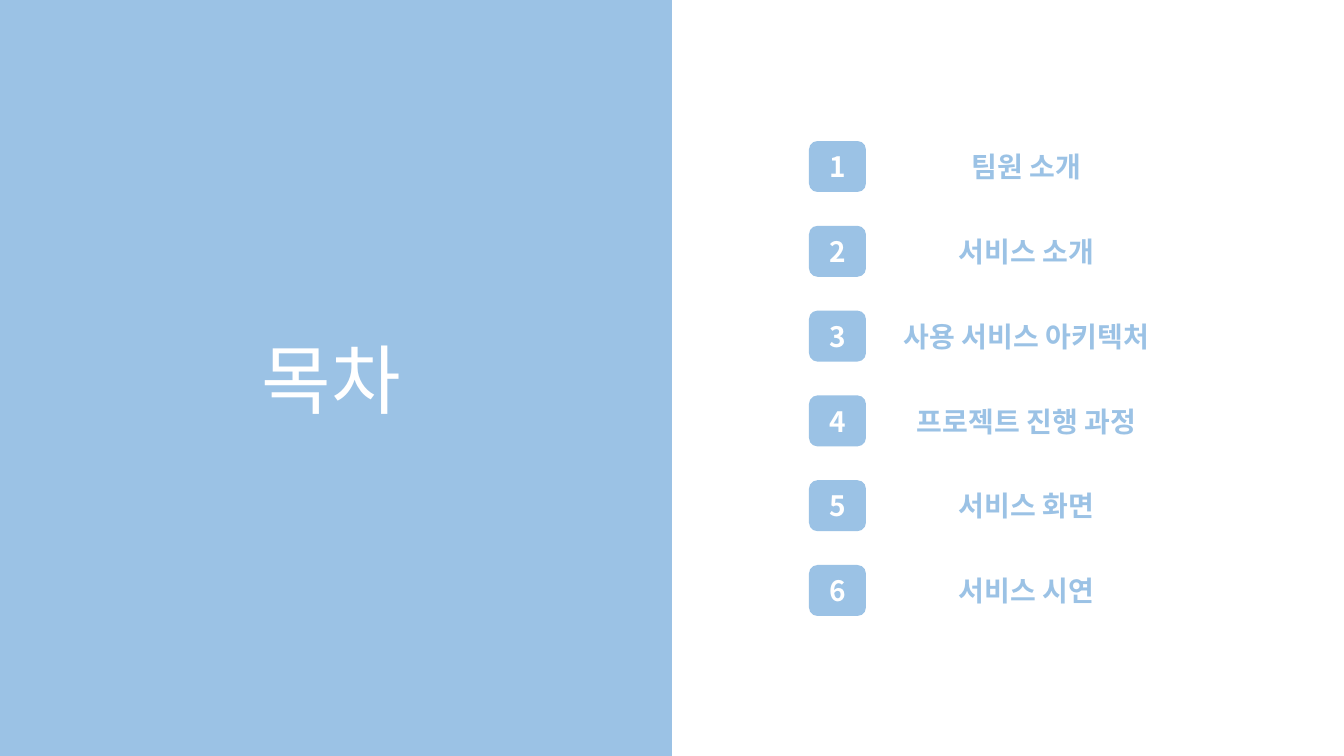
from dataclasses import dataclass

from lxml import etree
from pptx import Presentation
from pptx.dml.color import RGBColor
from pptx.enum.shapes import MSO_SHAPE
from pptx.enum.text import MSO_ANCHOR, PP_ALIGN
from pptx.oxml.ns import qn
from pptx.util import Pt

RECTANGLE = MSO_SHAPE.RECTANGLE
ROUNDED = MSO_SHAPE.ROUNDED_RECTANGLE
LEFT, CENTER = PP_ALIGN.LEFT, PP_ALIGN.CENTER
TOP, MIDDLE = MSO_ANCHOR.TOP, MSO_ANCHOR.MIDDLE

TITLE = "목차"
TOPICS = [
    "팀원 소개",
    "서비스 소개",
    "사용 서비스 아키텍처",
    "프로젝트 진행 과정",
    "서비스 화면",
    "서비스 시연",
]

EMU_PER_PX = 914400 / 100.8
SLIDE_WIDTH, SLIDE_HEIGHT = 1344, 756
TITLE_BOX = (252, 328, 358, 102)
LIST_LEFT = 809
FIRST_TOP, LAST_TOP = 141, 565
BADGE_WIDTH, BADGE_HEIGHT = 57, 51
LABEL_WIDTH, LABEL_HEIGHT = 435, 60


@dataclass(frozen=True)
class Theme:
    blue: RGBColor = RGBColor(0x9B, 0xC2, 0xE5)
    white: RGBColor = RGBColor(0xFF, 0xFF, 0xFF)
    font: str = "Noto Sans CJK KR"
    title_size: int = 54
    item_size: int = 20


THEME = Theme()


def emu(*lengths):
    return [round(length * EMU_PER_PX) for length in lengths]


def add_block(slide, kind, box, fill=None):
    shape = slide.shapes.add_shape(kind, *emu(*box))
    shape.shadow.inherit = False
    shape.line.fill.background()
    if fill is None:
        shape.fill.background()
    else:
        shape.fill.solid()
        shape.fill.fore_color.rgb = fill
    return shape


def write(shape, text, size, color, bold=False, align=CENTER, anchor=MIDDLE):
    frame = shape.text_frame
    frame.text = text
    frame.word_wrap = True
    frame.vertical_anchor = anchor
    paragraph = frame.paragraphs[0]
    paragraph.alignment = align
    font = paragraph.runs[0].font
    font.size = Pt(size)
    font.bold = bold
    font.color.rgb = color
    font.name = THEME.font
    properties = paragraph.runs[0]._r.get_or_add_rPr()
    etree.SubElement(properties, qn("a:ea"), typeface=THEME.font)


def main():
    presentation = Presentation()
    presentation.slide_width, presentation.slide_height = emu(SLIDE_WIDTH, SLIDE_HEIGHT)
    slide = presentation.slides.add_slide(presentation.slide_layouts[6])

    add_block(slide, RECTANGLE, (0, 0, SLIDE_WIDTH / 2, SLIDE_HEIGHT), THEME.blue)
    title = slide.shapes.add_textbox(*emu(*TITLE_BOX))
    write(title, TITLE, THEME.title_size, THEME.white, align=LEFT, anchor=TOP)

    pitch = (LAST_TOP - FIRST_TOP) / (len(TOPICS) - 1)
    for index, topic in enumerate(TOPICS):
        badge_top = FIRST_TOP + index * pitch
        label_top = badge_top - (LABEL_HEIGHT - BADGE_HEIGHT) / 2
        label = add_block(slide, ROUNDED, (LIST_LEFT, label_top, LABEL_WIDTH, LABEL_HEIGHT))
        write(label, topic, THEME.item_size, THEME.blue, bold=True)
        badge = add_block(
            slide, ROUNDED, (LIST_LEFT, badge_top, BADGE_WIDTH, BADGE_HEIGHT), THEME.blue
        )
        write(badge, str(index + 1), THEME.item_size, THEME.white, bold=True)

    presentation.save("out.pptx")


if __name__ == "__main__":
    main()
